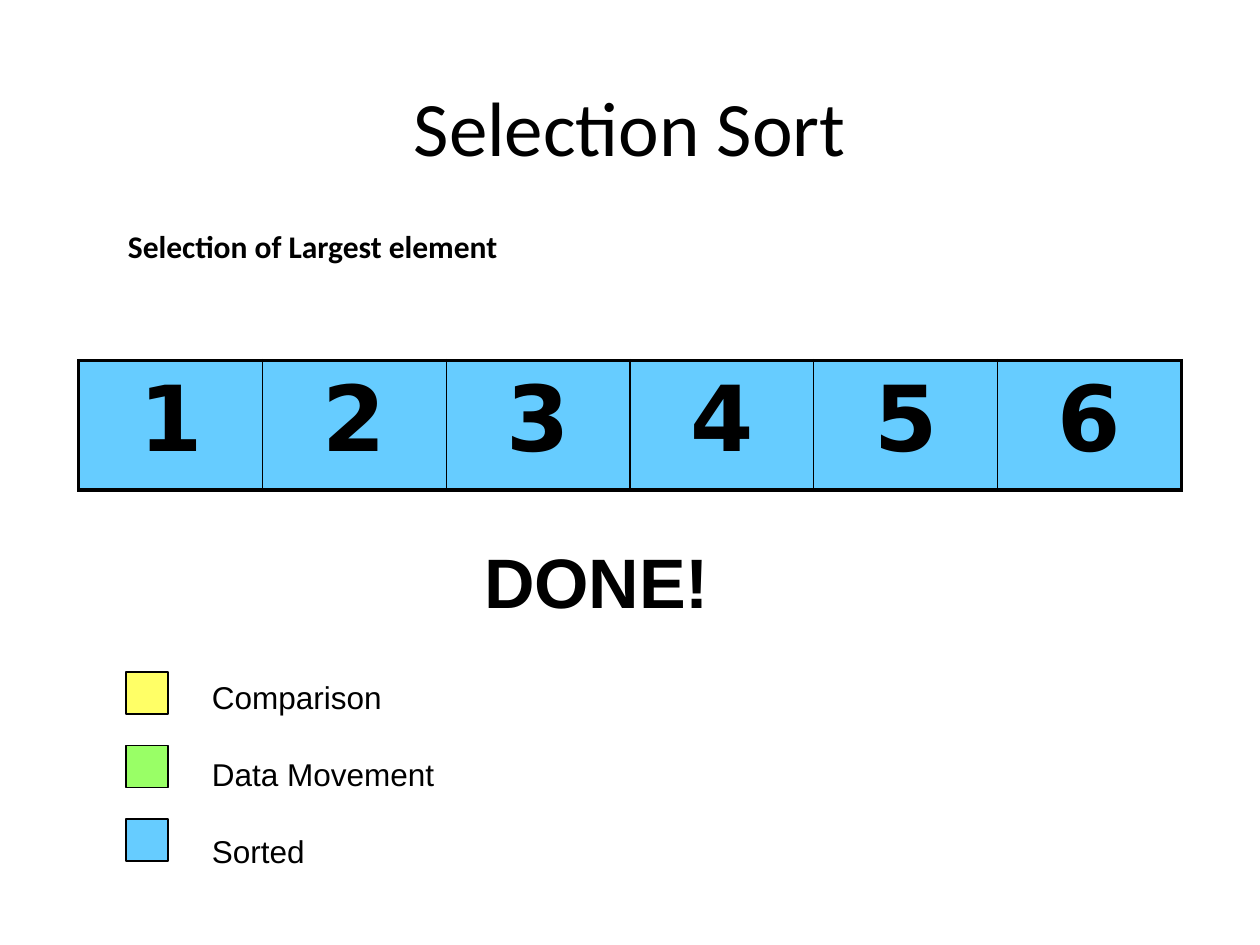
"""Build the final slide of a selection sort walkthrough."""
from typing import NamedTuple

from lxml import etree
from pptx import Presentation
from pptx.dml.color import RGBColor
from pptx.enum.shapes import MSO_SHAPE
from pptx.enum.text import MSO_ANCHOR, MSO_AUTO_SIZE, PP_ALIGN
from pptx.oxml.ns import qn
from pptx.util import Pt

RECTANGLE = MSO_SHAPE.RECTANGLE
MIDDLE = MSO_ANCHOR.MIDDLE
FIT_SHAPE = MSO_AUTO_SIZE.SHAPE_TO_FIT_TEXT
CENTER = PP_ALIGN.CENTER

COLORS = {
    "ink": "000000",
    "comparison": "FFFF66",
    "movement": "99FF66",
    "sorted": "66CCFF",
}
OUTER_BORDER = 2.25
INNER_BORDER = 1


class Box(NamedTuple):
    left: float
    top: float
    width: float
    height: float


class TextStyle(NamedTuple):
    font: str
    size: float
    bold: bool = False


class Label(NamedTuple):
    text: str
    box: Box
    style: TextStyle
    wrap: bool = False
    gap: float = 0


class LegendEntry(NamedTuple):
    text: str
    color: str


VALUES = ["1", "2", "3", "4", "5", "6"]
ARRAY_BOX = Box(45, 206, 630, 74)
VALUE_STYLE = TextStyle("DejaVu Sans", 52, True)
TITLE_BOX = Box(45, 24, 630, 96)
TITLE_STYLE = TextStyle("Calibri", 44)
LEGEND = [
    LegendEntry("Comparison", "comparison"),
    LegendEntry("Data Movement", "movement"),
    LegendEntry("Sorted", "sorted"),
]
FIRST_SWATCH = Box(72, 384, 24, 24)
SWATCH_PITCH = 42
LABELS = [
    Label("\n".join(entry.text for entry in LEGEND), Box(114, 384, 142, 115),
          TextStyle("Arial", 18), gap=22.4),
    Label("DONE!", Box(269.5, 304, 143, 55), TextStyle("Arial", 40, True)),
    Label("Selection of Largest element", Box(66, 126, 264, 29),
          TextStyle("Calibri", 18, True), wrap=True),
]


def color(name: str) -> RGBColor:
    """Return a named colour."""
    return RGBColor.from_string(COLORS[name])


def points(box: Box) -> list[Pt]:
    """Return the box as lengths."""
    return [Pt(length) for length in box]


def format_text(text_frame, style: TextStyle) -> None:
    """Apply one style to every run."""
    for paragraph in text_frame.paragraphs:
        for run in paragraph.runs:
            run.font.name = style.font
            run.font.size = Pt(style.size)
            run.font.bold = style.bold
            run.font.color.rgb = color("ink")


def add_title(slide, text: str) -> None:
    """Fill and place the title placeholder."""
    title = slide.shapes.title
    title.left, title.top, title.width, title.height = points(TITLE_BOX)
    title.text_frame.text = text
    title.text_frame.vertical_anchor = MIDDLE
    title.text_frame.paragraphs[0].alignment = CENTER
    format_text(title.text_frame, TITLE_STYLE)


def set_borders(cell, widths: dict[str, float]) -> None:
    """Draw the cell borders, ahead of the fill as the schema requires."""
    properties = cell._tc.get_or_add_tcPr()
    for index, (tag, width) in enumerate(widths.items()):
        line = etree.Element(qn(f"a:{tag}"), w=str(Pt(width)))
        fill = etree.SubElement(line, qn("a:solidFill"))
        etree.SubElement(fill, qn("a:srgbClr"), val=COLORS["ink"])
        properties.insert(index, line)


def add_array(slide, values: list[str]) -> None:
    """Draw the sorted array as a one-row table."""
    table = slide.shapes.add_table(1, len(values), *points(ARRAY_BOX)).table
    table.first_row = False
    table.horz_banding = False
    last = len(values) - 1
    for index, value in enumerate(values):
        table.columns[index].width = Pt(ARRAY_BOX.width / len(values))
        cell = table.cell(0, index)
        cell.text_frame.text = value
        cell.text_frame.paragraphs[0].alignment = CENTER
        format_text(cell.text_frame, VALUE_STYLE)
        cell.fill.solid()
        cell.fill.fore_color.rgb = color("sorted")
        set_borders(cell, {
            "lnL": OUTER_BORDER if index == 0 else INNER_BORDER,
            "lnR": OUTER_BORDER if index == last else INNER_BORDER,
            "lnT": OUTER_BORDER,
            "lnB": OUTER_BORDER,
        })


def add_swatch(slide, box: Box, fill: str) -> None:
    """Draw one legend square."""
    swatch = slide.shapes.add_shape(RECTANGLE, *points(box))
    swatch.shadow.inherit = False
    swatch.fill.solid()
    swatch.fill.fore_color.rgb = color(fill)
    swatch.line.color.rgb = color("ink")
    swatch.line.width = Pt(0.75)


def add_label(slide, label: Label) -> None:
    """Add a text box, with the gap between its paragraphs."""
    text_frame = slide.shapes.add_textbox(*points(label.box)).text_frame
    text_frame.text = label.text
    text_frame.word_wrap = label.wrap
    text_frame.auto_size = FIT_SHAPE
    for paragraph in text_frame.paragraphs[1:]:
        paragraph.space_before = Pt(label.gap)
    format_text(text_frame, label.style)


def main() -> None:
    """Build and save the presentation."""
    presentation = Presentation()
    presentation.slide_width, presentation.slide_height = Pt(720), Pt(540)
    slide = presentation.slides.add_slide(presentation.slide_layouts.get_by_name("Title Only"))
    add_title(slide, "Selection Sort")
    add_array(slide, VALUES)
    for index, entry in enumerate(LEGEND):
        top = FIRST_SWATCH.top + index * SWATCH_PITCH
        add_swatch(slide, FIRST_SWATCH._replace(top=top), entry.color)
    for label in LABELS:
        add_label(slide, label)
    presentation.save("out.pptx")


if __name__ == "__main__":
    main()
